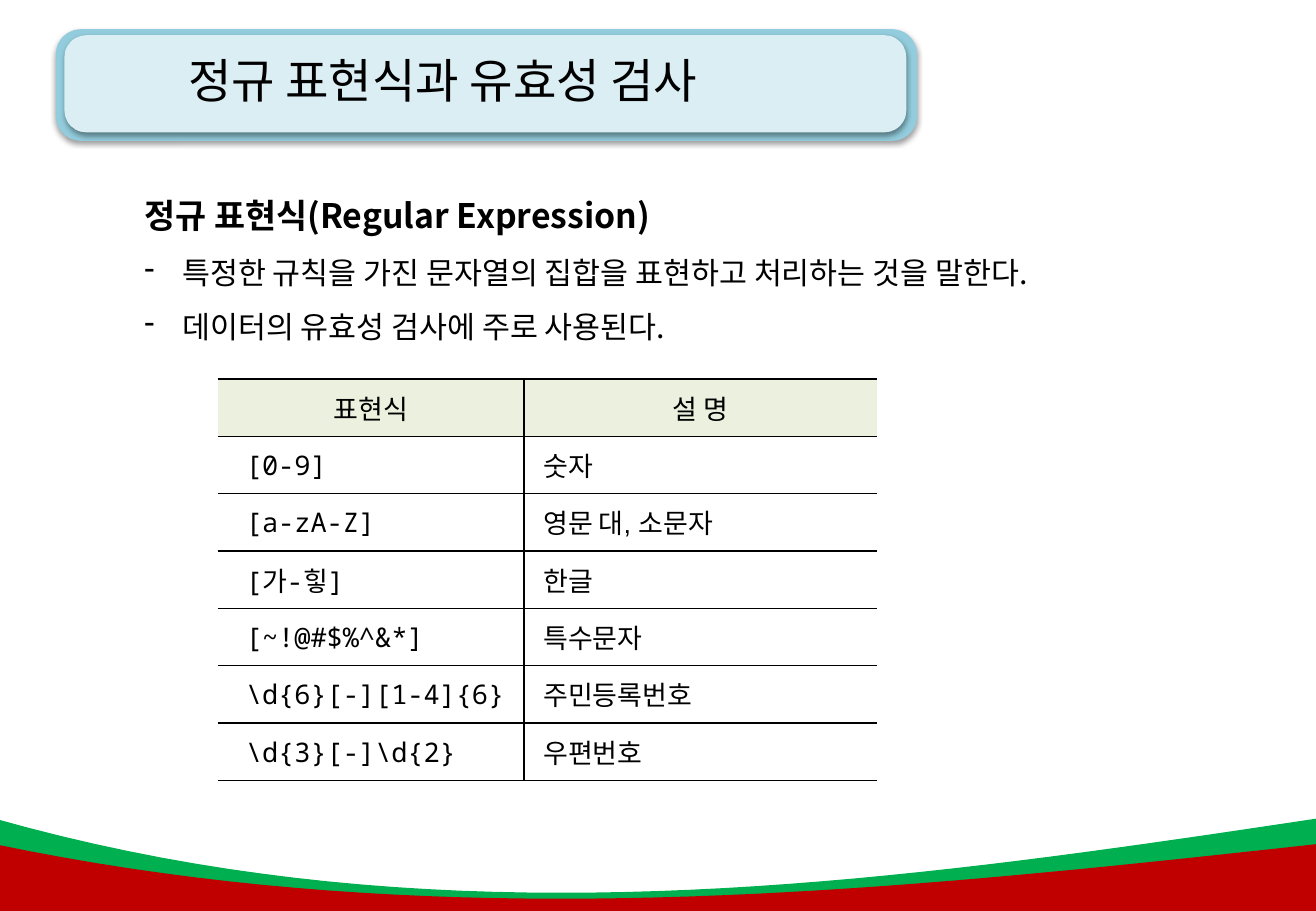
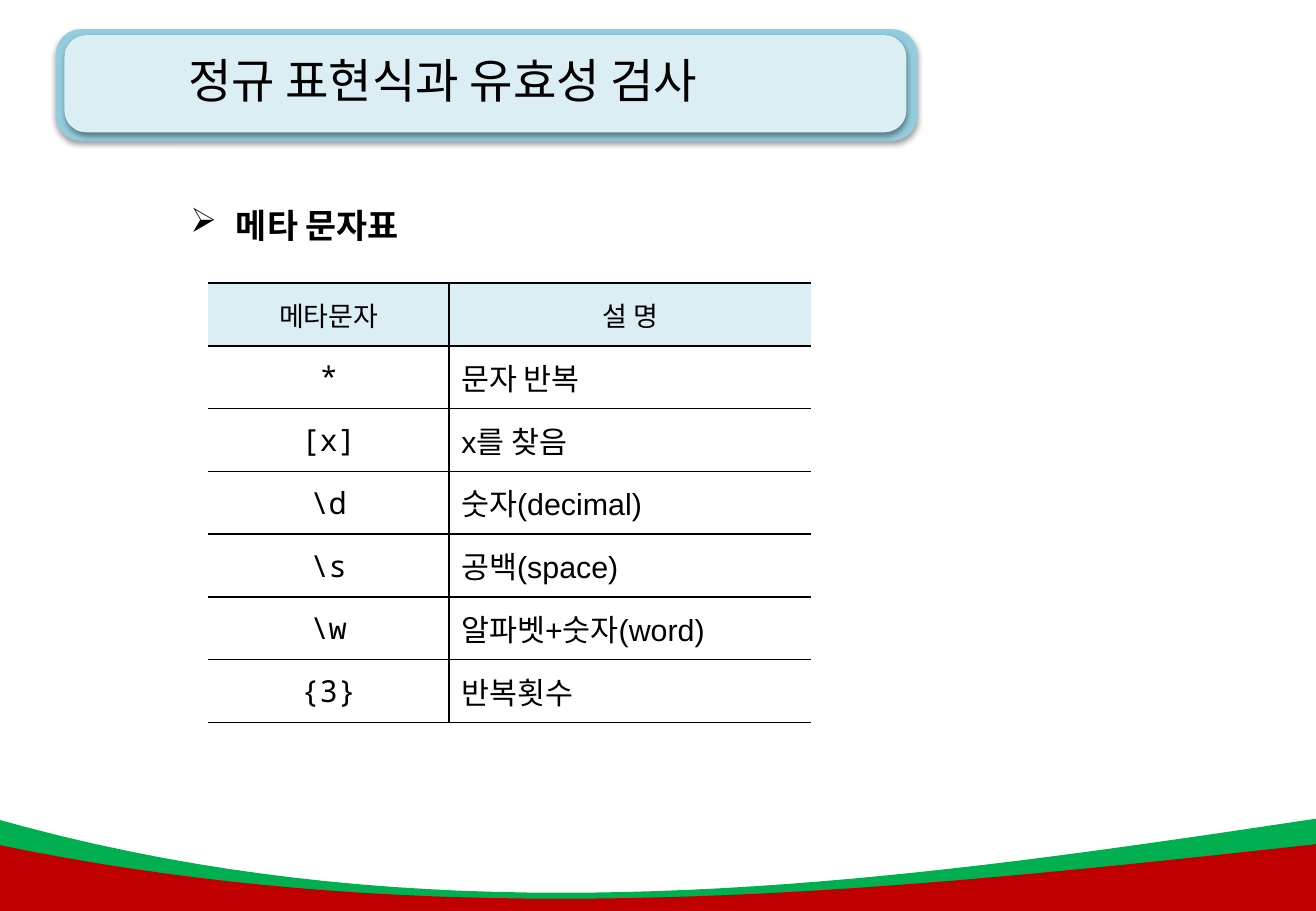
from lxml.etree import SubElement
from pptx import Presentation
from pptx.dml.color import RGBColor
from pptx.enum.shapes import MSO_SHAPE
from pptx.enum.text import MSO_ANCHOR, PP_ALIGN
from pptx.oxml import parse_xml
from pptx.oxml.ns import nsdecls, qn
from pptx.util import Pt

SANS, MONO, LATIN = "Noto Sans CJK KR", "Noto Sans Mono", "Arial"
BLACK, GREEN, RED = "000000", "00B050", "C00000"
TEAL, PALE, OLIVE = "93CDDD", "DBEEF4", "EBF1DE"
WIDE, HIGH = 780, 540
PLAIN = "{2D5ABB26-0587-4C30-8999-92F81FD0307C}"
TITLE = "정규 표현식과 유효성 검사"
STEPS = 40

# colour, then the heights of the four control points of the curve
WAVES = [
    (GREEN, (485.3, 560.2, 524.9, 485.3)),
    (RED, (500.4, 555.8, 529.2, 500.4)),
]
PLATES = [
    (TEAL, (33.1, 17.3, 510.5, 66.2)),
    (PALE, (38.2, 20.9, 499, 57.6)),
]

# lines: bullet, text, size, bold
PAGES = [
    {
        "box": (78.5, 100, 669, 108.7),
        "lines": [
            ("", "정규 표현식(Regular Expression)", 20, True),
            ("-", "특정한 규칙을 가진 문자열의 집합을 표현하고 처리하는 것을 말한다.", 18, False),
            ("-", "데이터의 유효성 검사에 주로 사용된다.", 18, False),
        ],
        "indent": 22.5,
        "spot": (129, 224.6),
        "cols": (181.5, 209.5),
        "row": 34,
        "head": OLIVE,
        "size": 16,
        "align": PP_ALIGN.LEFT,
        "pads": (16.8, 11.6),
        "cells": [
            ("표현식", "설 명"),
            ("[0-9]", "숫자"),
            ("[a-zA-Z]", "영문 대, 소문자"),
            ("[가-힣]", "한글"),
            ("[~!@#$%^&*]", "특수문자"),
            (r"\d{6}[-][1-4]{6}", "주민등록번호"),
            (r"\d{3}[-]\d{2}", "우편번호"),
        ],
    },
    {
        "box": (105.8, 105.8, 374.4, 38.9),
        "lines": [("➢", "메타 문자표", 20, True)],
        "indent": 27,
        "spot": (123.5, 167.8),
        "cols": (142.7, 214.5),
        "row": 37.2,
        "head": PALE,
        "size": 18,
        "align": PP_ALIGN.CENTER,
        "pads": (7.2, 7.2),
        "cells": [
            ("메타문자", "설 명"),
            ("*", "문자 반복"),
            ("[x]", "x를 찾음"),
            (r"\d", "숫자(decimal)"),
            (r"\s", "공백(space)"),
            (r"\w", "알파벳+숫자(word)"),
            ("{3}", "반복횟수"),
        ],
    },
]


def paint(fill, tone):
    fill.solid()
    fill.fore_color.rgb = RGBColor.from_string(tone)


def style(para, size, face, bold=False):
    """Format every run, with one font for all Korean text."""
    for run in para.runs:
        run.font.size = Pt(size)
        run.font.bold = bold
        run.font.name = face
        paint(run.font.fill, BLACK)
        SubElement(run.font._element, qn("a:ea")).set("typeface", SANS)


deck = Presentation()
deck.slide_width, deck.slide_height = Pt(WIDE), Pt(HIGH)

for page in PAGES:
    slide = deck.slides.add_slide(deck.slide_layouts[6])
    shapes = slide.shapes

    # Waves at the foot
    for tone, (a, b, c, d) in WAVES:
        curve = []
        for step in range(STEPS + 1):
            t = step / STEPS
            u = 1 - t
            x = -3 * u**3 + 3 * 262 * u * u * t + 3 * 517.7 * u * t * t + WIDE * t**3
            y = a * u**3 + 3 * b * u * u * t + 3 * c * u * t * t + d * t**3
            curve.append((Pt(x), Pt(y)))
        pen = shapes.build_freeform(*curve[0], scale=1.0)
        pen.add_line_segments(curve[1:] + [(Pt(WIDE), Pt(HIGH)), (Pt(-3), Pt(HIGH))])
        wave = pen.convert_to_shape()
        wave.shadow.inherit = False
        paint(wave.fill, tone)
        wave.line.fill.background()

    # Title plates
    for tone, area in PLATES:
        plate = shapes.add_shape(MSO_SHAPE.ROUNDED_RECTANGLE, *map(Pt, area))
        plate.adjustments[0] = 0.225
        plate.shadow.inherit = False
        paint(plate.fill, tone)
        plate.line.fill.background()
        plate.element.spPr.find(qn("a:effectLst")).append(parse_xml(
            f'<a:outerShdw {nsdecls("a")} blurRad="{Pt(3.1)}" dist="{Pt(1.6)}" '
            f'dir="5400000" rotWithShape="0"><a:srgbClr val="{BLACK}">'
            '<a:alpha val="38000"/></a:srgbClr></a:outerShdw>'))

    # Body text
    frame = shapes.add_textbox(*map(Pt, page["box"])).text_frame
    frame.word_wrap = True
    frame.text = "\n".join(line[1] for line in page["lines"])
    for para, (mark, _, size, bold) in zip(frame.paragraphs, page["lines"]):
        para.line_spacing = 1.5
        if mark:
            props = para._p.get_or_add_pPr()
            props.set("marL", str(Pt(page["indent"])))
            props.set("indent", str(-Pt(page["indent"])))
            SubElement(props, qn("a:buChar")).set("char", mark)
        style(para, size, SANS, bold)

    # Table
    cells, cols = page["cells"], page["cols"]
    tall = page["row"] * len(cells)
    holder = shapes.add_table(
        len(cells), len(cols), *map(Pt, (*page["spot"], sum(cols), tall)))
    table = holder.table
    table.first_row = table.horz_banding = False
    for look in holder.element.iter(qn("a:tableStyleId")):
        look.text = PLAIN
    for col, width in zip(table.columns, cols):
        col.width = Pt(width)
    for r, texts in enumerate(cells):
        table.rows[r].height = Pt(page["row"])
        for c, text in enumerate(texts):
            cell = table.cell(r, c)
            cell.vertical_anchor = MSO_ANCHOR.MIDDLE
            cell.text_frame.text = text
            para = cell.text_frame.paragraphs[0]
            if r == 0:
                paint(cell.fill, page["head"])
                para.alignment = PP_ALIGN.CENTER
                style(para, 16, SANS)
            else:
                cell.fill.background()
                cell.margin_left = Pt(page["pads"][c])
                para.alignment = PP_ALIGN.LEFT if c else page["align"]
                style(para, page["size"], LATIN if c else MONO)
            sides = ("lnL" if c else "lnR", "lnT", "lnB")
            for spot, side in enumerate(sides):
                cell._tc.get_or_add_tcPr().insert(spot, parse_xml(
                    f'<a:{side} {nsdecls("a")} w="{Pt(1)}"><a:solidFill>'
                    f'<a:srgbClr val="{BLACK}"/></a:solidFill></a:{side}>'))

    # Title
    frame = shapes.add_textbox(*map(Pt, (10, 26.6, 504.7, 67.7))).text_frame
    frame.word_wrap = True
    frame.text = TITLE
    frame.paragraphs[0].alignment = PP_ALIGN.CENTER
    style(frame.paragraphs[0], 28, SANS)

deck.save("out.pptx")
